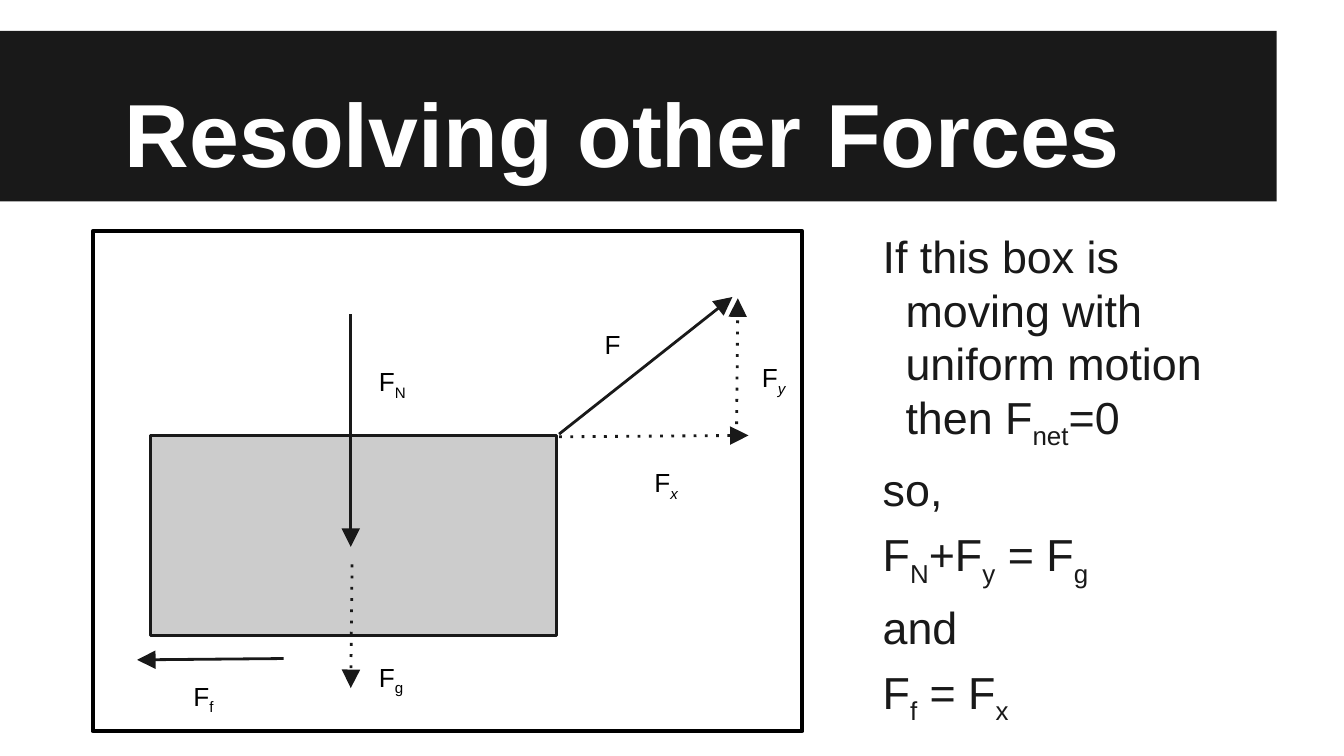
from lxml import etree
from pptx import Presentation
from pptx.dml.color import RGBColor
from pptx.enum import shapes, text
from pptx.oxml.ns import qn
from pptx.util import Inches, Pt

INK = RGBColor(0x19, 0x19, 0x19)
BLACK = RGBColor(0, 0, 0)
WHITE = RGBColor(0xFF, 0xFF, 0xFF)
GREY = RGBColor(0xCC, 0xCC, 0xCC)
FONT = "Arial"

# Force: subscript, italic subscript, start, end, dotted, label corner
# (inches from the corner of the diagram frame)
FORCES = [
    ("", False, (3.47, 1.51), (4.76, 0.49), False, (3.71, 0.62)),
    ("N", False, (1.92, 0.62), (1.92, 2.35), False, (2.03, 0.9)),
    ("g", False, (1.93, 2.48), (1.92, 3.4), True, (2.03, 3.1)),
    ("x", True, (3.47, 1.53), (4.88, 1.52), True, (4.08, 1.65)),
    ("y", True, (4.79, 1.52), (4.8, 0.5), True, (4.88, 0.87)),
    ("f", False, (1.42, 3.18), (0.33, 3.19), False, (0.65, 3.24)),
]

# Each line alternates normal and subscript pieces
ARGUMENT = [
    ["If this box is moving with uniform motion then F", "net", "=0"],
    ["so,"],
    ["F", "N", "+F", "y", " = F", "g"],
    ["and"],
    ["F", "f", " = F", "x"],
]


def add_rect(slide, left, top, width, height, fill=None, line=None, weight=1.5):
    rect = slide.shapes.add_shape(
        shapes.MSO_SHAPE.RECTANGLE,
        Inches(left), Inches(top), Inches(width), Inches(height))
    rect.shadow.inherit = False
    if fill is None:
        rect.fill.background()
    else:
        rect.fill.solid()
        rect.fill.fore_color.rgb = fill
    if line is None:
        rect.line.fill.background()
    else:
        rect.line.color.rgb = line
        rect.line.width = Pt(weight)
    return rect


def add_arrow(slide, start, end, dotted):
    arrow = slide.shapes.add_connector(
        shapes.MSO_CONNECTOR.STRAIGHT, *(Inches(v) for v in (*start, *end)))
    arrow.line.color.rgb = INK
    arrow.line.width = Pt(1.5)
    properties = arrow.element.spPr
    outline = properties.find(qn("a:ln"))
    if dotted:
        etree.SubElement(outline, qn("a:prstDash"), val="dot")
    etree.SubElement(outline, qn("a:tailEnd"), type="triangle", w="lg", len="lg")
    etree.SubElement(properties, qn("a:effectLst"))


def set_margins(frame):
    frame.word_wrap = True
    frame.margin_left = frame.margin_right = Inches(0.1)
    frame.margin_top = frame.margin_bottom = Inches(0.1)


def add_text_frame(slide, left, top, width, height):
    frame = slide.shapes.add_textbox(
        Inches(left), Inches(top), Inches(width), Inches(height)).text_frame
    set_margins(frame)
    return frame


def write_formula(paragraph, pieces, size, color, italic_subscript=False):
    """Write pieces that are in turn on the baseline and subscript."""
    paragraph.font.name = FONT
    paragraph.font.size = Pt(size)
    paragraph.font.color.rgb = color
    for index, piece in enumerate(pieces):
        run = paragraph.add_run()
        run.text = piece
        if index % 2:
            run._r.get_or_add_rPr().set("baseline", "-25000")
            if italic_subscript:
                run.font.italic = True


def set_indent(paragraph, left, first):
    properties = paragraph._p.get_or_add_pPr()
    properties.set("marL", str(Inches(left)))
    properties.set("indent", str(Inches(first)))


def add_title_band(slide, left, top, width, height):
    band = add_rect(slide, left, top, width, height, fill=INK)
    title = slide.shapes.title
    band.element.addnext(title.element)
    title.left, title.top = Inches(left + 0.5), Inches(top)
    title.width, title.height = Inches(width - 0.5), Inches(height - 0.02)
    frame = title.text_frame
    frame.text = "Resolving other Forces"
    set_margins(frame)
    frame.auto_size = text.MSO_AUTO_SIZE.NONE
    frame.vertical_anchor = text.MSO_ANCHOR.BOTTOM
    heading = frame.paragraphs[0]
    heading.alignment = text.PP_ALIGN.LEFT
    set_indent(heading, 0, 0.33)
    heading.font.name = FONT
    heading.font.size = Pt(48)
    heading.font.bold = True
    heading.font.color.rgb = WHITE


def add_force_diagram(slide, left, top, width, height):
    def at(point):
        return left + point[0], top + point[1]

    add_rect(slide, *at((0.43, 1.52)), 3.02, 1.49, fill=GREY, line=INK)
    for subscript, italic, start, end, dotted, corner in FORCES:
        add_arrow(slide, at(start), at(end), dotted)
        label = add_text_frame(slide, *at(corner), 0.6, 0.38)
        pieces = ["F", subscript] if subscript else ["F"]
        write_formula(label.paragraphs[0], pieces, 14, BLACK, italic)
    add_rect(slide, left, top, width, height, line=BLACK, weight=2.25)


def add_argument(slide, left, top, width, height):
    frame = add_text_frame(slide, left, top, width, height)
    for index, pieces in enumerate(ARGUMENT):
        line = frame.add_paragraph() if index else frame.paragraphs[0]
        set_indent(line, 0.38, -0.17)
        line.line_spacing = 1.0
        line.space_before = Pt(6 if index else 0)
        write_formula(line, pieces, 24, INK)


def main():
    deck = Presentation()
    deck.slide_width = Inches(10)
    deck.slide_height = deck.slide_width * 9 // 16
    slide = deck.slides.add_slide(deck.slide_layouts[5])
    add_title_band(slide, 0, 0.23, 9.5, 1.27)
    add_argument(slide, 6.26, 1.6, 3.24, 3.79)
    add_force_diagram(slide, 0.69, 1.72, 5.28, 3.72)
    deck.save("out.pptx")


if __name__ == "__main__":
    main()
